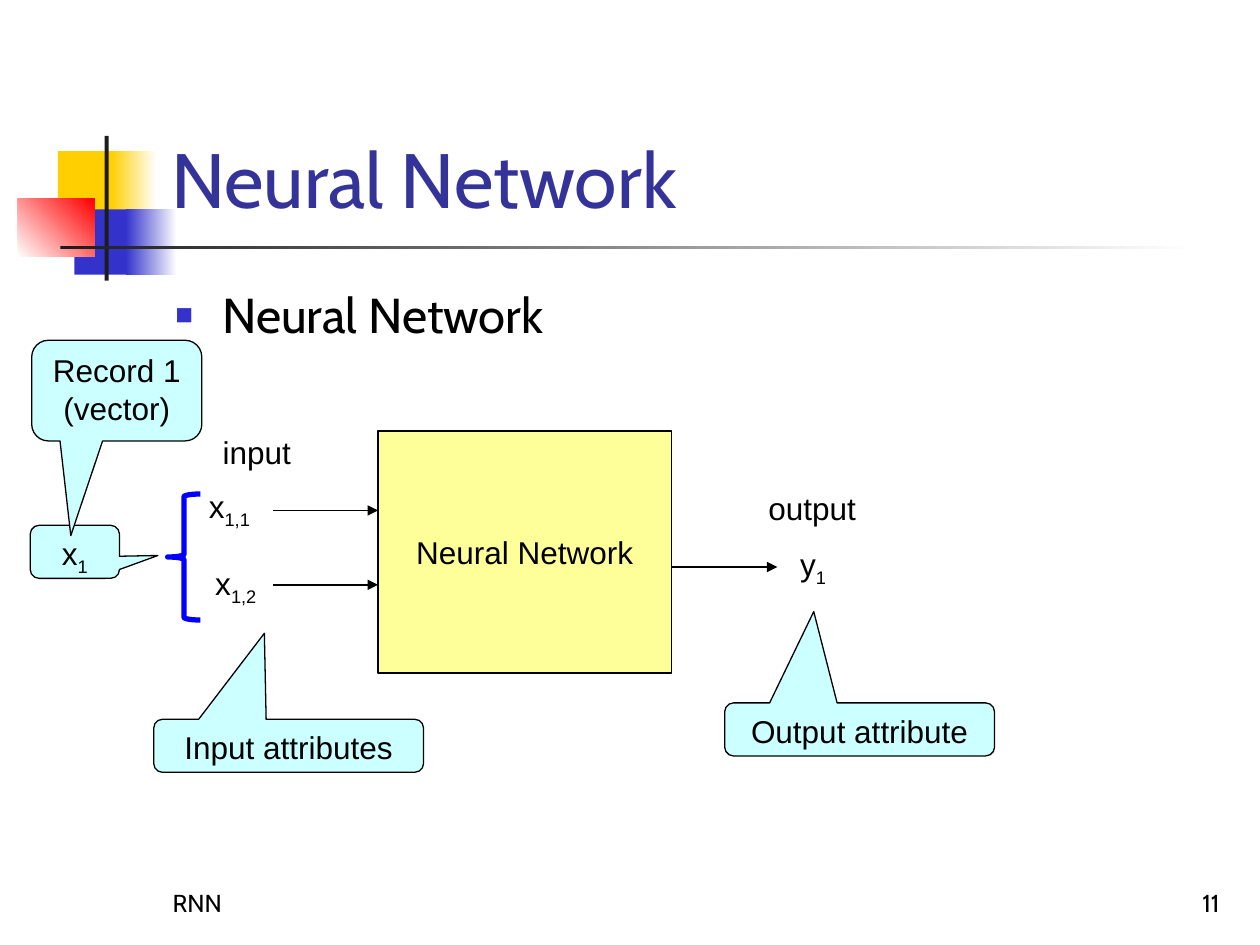
from lxml.etree import SubElement
from pptx import Presentation
from pptx.dml.color import RGBColor
from pptx.enum.shapes import MSO_CONNECTOR, MSO_SHAPE
from pptx.enum.text import MSO_ANCHOR, MSO_AUTO_SIZE, PP_ALIGN
from pptx.oxml.ns import qn
from pptx.util import Cm, Pt

HUES = {
    "gold": "FFCF01", "blue": "3333CC", "red": "FF0000", "dark": "1C1C1C",
    "white": "FFFFFF", "black": "000000", "title": "333399",
    "pale": "FFFF99", "aqua": "CCFFFF", "brace": "0000FF",
}
HEAD, BODY = "Cabin", "Arial"


def hue(name):
    return RGBColor.from_string(HUES[name])


def place(shape, box):
    shape.left, shape.top, shape.width, shape.height = map(Cm, box)


def write(frame, runs, size=18, font=BODY, color="black",
          align=PP_ALIGN.LEFT, anchor=MSO_ANCHOR.TOP, wrap=True):
    """Fill the first paragraph; every second run is a subscript."""
    frame.auto_size = MSO_AUTO_SIZE.NONE
    frame.word_wrap = wrap
    frame.vertical_anchor = anchor
    para = frame.paragraphs[0]
    para.alignment = align
    for i, text in enumerate(runs):
        run = para.add_run()
        run.text = text
        run.font.size = Pt(size)
        run.font.name = font
        run.font.color.rgb = hue(color)
        if i % 2:
            run._r.get_or_add_rPr().set("baseline", "-25000")


def add_form(slide, kind, box, fill=None, line=None, width=0.75):
    form = slide.shapes.add_shape(kind, *map(Cm, box))
    form.shadow.inherit = False
    if fill:
        form.fill.solid()
        form.fill.fore_color.rgb = hue(fill)
    else:
        form.fill.background()
    if line:
        form.line.color.rgb = hue(line)
        form.line.width = Pt(width)
    else:
        form.line.fill.background()
    return form


def add_fade(slide, box, start, end, angle=0):
    form = add_form(slide, MSO_SHAPE.RECTANGLE, box)
    form.fill.gradient()
    form.fill.gradient_angle = angle
    for stop, name, spot in zip(form.fill.gradient_stops, (start, end), (0, 1)):
        stop.color.rgb = hue(name)
        stop.position = spot


def add_label(slide, box, *runs, **style):
    label = slide.shapes.add_textbox(*map(Cm, box))
    write(label.text_frame, runs, **style)


def add_arrow(slide, left, right, y):
    arrow = slide.shapes.add_connector(
        MSO_CONNECTOR.STRAIGHT, Cm(left), Cm(y), Cm(right), Cm(y))
    arrow.line.color.rgb = hue("black")
    arrow.line.width = Pt(0.75)
    props = arrow._element.spPr
    SubElement(props.get_or_add_ln(), qn("a:tailEnd"), type="triangle")
    SubElement(props, qn("a:effectLst"))


def add_callout(slide, box, tip, *runs):
    """Tip is the pointer's offset from the centre, in box widths and heights."""
    note = add_form(slide, MSO_SHAPE.ROUNDED_RECTANGULAR_CALLOUT, box, "aqua", "black")
    note.adjustments[0], note.adjustments[1] = tip
    write(note.text_frame, runs, align=PP_ALIGN.CENTER)


def add_bullet(para):
    props = para._p.get_or_add_pPr()
    props.set("marL", str(Cm(0.95)))
    props.set("indent", str(-Cm(0.95)))
    color = SubElement(props, qn("a:buClr"))
    SubElement(color, qn("a:srgbClr"), val=HUES["blue"])
    SubElement(props, qn("a:buSzPct"), val="60000")
    SubElement(props, qn("a:buFont"), typeface=BODY)
    SubElement(props, qn("a:buChar"), char="■")
    para.space_before = Pt(0)


def add_motif(slide):
    rect = MSO_SHAPE.RECTANGLE
    add_form(slide, rect, (1.17, 3.05, 1.22, 1.32), "gold")
    add_fade(slide, (2.24, 3.05, 0.91, 1.32), "gold", "white")
    add_form(slide, rect, (1.5, 4.22, 1.17, 1.32), "blue")
    add_fade(slide, (2.54, 4.22, 1.02, 1.32), "blue", "white")
    add_fade(slide, (0.36, 4.01, 1.55, 1.17), "white", "red", 45)
    add_form(slide, rect, (2.11, 2.74, 0.08, 2.92), "dark")
    add_fade(slide, (1.22, 4.95, 22.86, 0.08), "dark", "white")


def add_heads(slide):
    title, body = slide.shapes.title, slide.placeholders[1]
    place(title, (3.2, 0.58, 21.64, 4.06))
    write(title.text_frame, ["Neural Network"], 44, HEAD, "title",
          anchor=MSO_ANCHOR.BOTTOM)
    place(body, (3.28, 5.61, 13.23, 11.43))
    add_bullet(body.text_frame.paragraphs[0])
    write(body.text_frame, ["Neural Network"], 28, HEAD)
    foot = {"size": 14, "font": HEAD, "anchor": MSO_ANCHOR.BOTTOM}
    add_label(slide, (3.23, 17.35, 5.28, 1.27), "RNN", **foot)
    add_label(slide, (19.56, 17.35, 5.28, 1.27), "11", align=PP_ALIGN.RIGHT, **foot)


def add_network(slide):
    net = add_form(slide, MSO_SHAPE.RECTANGLE, (7.62, 8.69, 5.92, 4.88), "pale", "black")
    write(net.text_frame, ["Neural Network"], align=PP_ALIGN.CENTER,
          anchor=MSO_ANCHOR.MIDDLE, wrap=False)
    for y in (10.29, 11.79):
        add_arrow(slide, 5.51, 7.62, y)
    add_arrow(slide, 13.54, 15.67, 11.43)
    for left, top, width, *runs in (
        (4.24, 8.61, 1.88, "input"),
        (15.24, 9.73, 2.29, "output"),
        (3.96, 9.7, 1.42, "x", "1,1"),
        (4.09, 11.25, 1.42, "x", "1,2"),
        (15.88, 10.87, 1.07, "y", "1"),
    ):
        add_label(slide, (left, top, width, 1.02), *runs, wrap=False)


def add_notes(slide):
    add_callout(slide, (3.1, 14.5, 5.44, 1.07), (-0.09, -2.12), "Input attributes")
    add_callout(slide, (14.61, 14.17, 5.44, 1.07), (-0.17, -2.22), "Output attribute")
    add_form(slide, MSO_SHAPE.LEFT_BRACE, (3.38, 9.96, 0.66, 2.54), line="brace", width=3)
    add_callout(slide, (0.61, 10.59, 1.8, 1.07), (0.93, 0.07), "x", "1")
    add_callout(slide, (0.64, 6.86, 3.43, 2.03), (-0.27, 1.44), "Record 1 (vector)")


def main():
    deck = Presentation()
    deck.slide_width, deck.slide_height = Cm(25.4), Cm(19.05)
    slide = deck.slides.add_slide(deck.slide_layouts[1])
    add_motif(slide)
    add_heads(slide)
    add_network(slide)
    add_notes(slide)
    deck.save("out.pptx")


if __name__ == "__main__":
    main()
